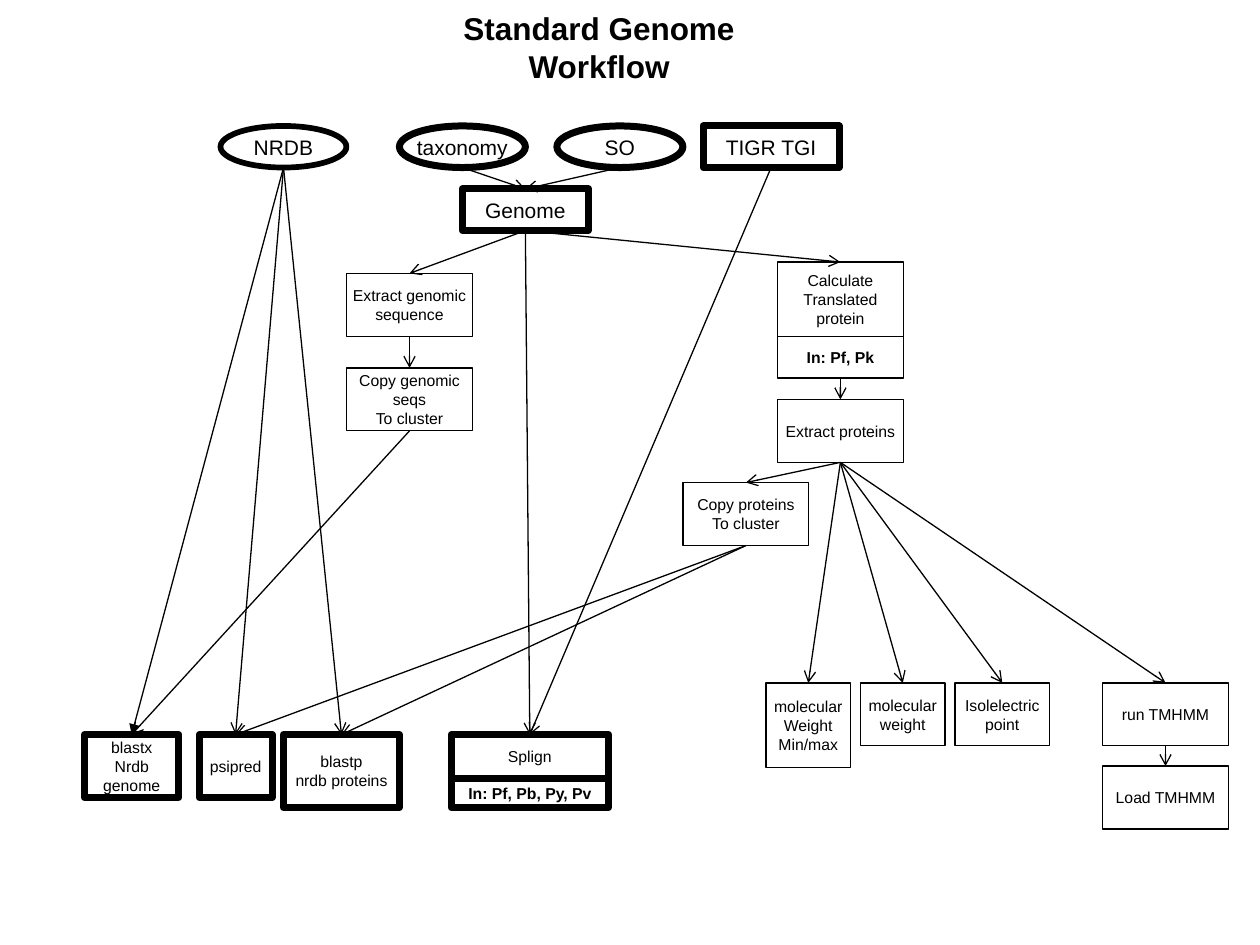
from lxml import etree
from pptx import Presentation
from pptx.dml.color import RGBColor
from pptx.enum.shapes import MSO_CONNECTOR, MSO_SHAPE
from pptx.enum.text import MSO_ANCHOR, MSO_AUTO_SIZE, PP_ALIGN
from pptx.oxml.ns import qn
from pptx.util import Inches, Pt

RECT, OVAL = MSO_SHAPE.RECTANGLE, MSO_SHAPE.OVAL
LINE = MSO_CONNECTOR.STRAIGHT
MIDDLE, CENTER = MSO_ANCHOR.MIDDLE, PP_ALIGN.CENTER
NO_FIT = MSO_AUTO_SIZE.NONE

THEME = {
    "font": "Arial", "ink": RGBColor(0, 0, 0),
    "title": 18, "large": 12, "small": 9,
    "thin": 0.75, "medium": 3.25, "thick": 4,
}

# Content
TITLE = "Standard Genome Workflow"

# Node groups: shape, type size, line width, bold, then
# key: (text, left, top, width, height)
GROUPS = [
    (OVAL, "large", "medium", False, {
        "nrdb": ("NRDB", 1.75, 1, 1, 0.33),
    }),
    (OVAL, "large", "thick", False, {
        "taxon": ("taxonomy", 3.17, 1, 1, 0.33),
        "so": ("SO", 4.42, 1, 1, 0.33),
    }),
    (RECT, "large", "thick", False, {
        "tigr": ("TIGR TGI", 5.58, 1, 1.08, 0.33),
        "genome": ("Genome", 3.67, 1.5, 1, 0.33),
    }),
    (RECT, "small", "thin", False, {
        "extract": ("Extract genomic\nsequence", 2.75, 2.17, 1, 0.5),
        "copy": ("Copy genomic\nseqs\nTo cluster", 2.75, 2.92, 1, 0.5),
        "calc": ("Calculate\nTranslated\nprotein", 6.17, 2.08, 1, 0.59),
        "proteins": ("Extract proteins", 6.17, 3.17, 1, 0.5),
        "cluster": ("Copy proteins\nTo cluster", 5.42, 3.83, 1, 0.5),
        "range": ("molecular\nWeight\nMin/max", 6.08, 5.42, 0.67, 0.67),
        "weight": ("molecular\nweight", 6.83, 5.42, 0.67, 0.5),
        "point": ("Isolelectric\npoint", 7.58, 5.42, 0.75, 0.5),
        "run": ("run TMHMM", 8.75, 5.42, 1, 0.5),
        "load": ("Load TMHMM", 8.75, 6.08, 1, 0.5),
    }),
    (RECT, "small", "thin", True, {
        "calc in": ("In: Pf, Pk", 6.17, 2.67, 1, 0.33),
    }),
    (RECT, "small", "thick", False, {
        "blastx": ("blastx\nNrdb\ngenome", 0.67, 5.83, 0.75, 0.5),
        "psipred": ("psipred", 1.58, 5.83, 0.58, 0.5),
        "blastp": ("blastp\nnrdb proteins", 2.25, 5.83, 0.92, 0.58),
        "splign": ("Splign", 3.58, 5.83, 1.25, 0.35),
    }),
    (RECT, "small", "thick", True, {
        "splign in": ("In: Pf, Pb, Py, Pv", 3.58, 6.18, 1.25, 0.23),
    }),
]

# Each step leads to the steps listed after it
FLOWS = {
    "nrdb": ["blastx", "psipred", "blastp"],
    "taxon": ["genome"],
    "so": ["genome"],
    "tigr": ["splign"],
    "genome": ["extract", "splign", "calc"],
    "extract": ["copy"],
    "copy": ["blastx"],
    "calc in": ["proteins"],
    "proteins": ["cluster", "range", "weight", "point", "run"],
    "cluster": ["psipred", "blastp"],
    "run": ["load"],
}
SOLID = [("nrdb", "blastx")]


def style(frame, size, bold):
    """Centre the text and set its font."""
    frame.vertical_anchor = MIDDLE
    for par in frame.paragraphs:
        par.alignment = CENTER
        for run in par.runs:
            font = run.font
            font.name, font.size, font.bold = THEME["font"], Pt(THEME[size]), bold
            font.color.rgb = THEME["ink"]


def add_node(slide, kind, size, width, bold, node):
    text, *place = node
    shape = slide.shapes.add_shape(kind, *map(Inches, place))
    shape.shadow.inherit = False
    shape.fill.background()
    shape.line.color.rgb = THEME["ink"]
    shape.line.width = Pt(THEME[width])
    shape.text_frame.text = text
    shape.text_frame.word_wrap = False
    style(shape.text_frame, size, bold)
    return shape


def add_arrow(slide, start, end, head):
    """Run from the bottom middle of start to the top middle of end."""
    arrow = slide.shapes.add_connector(
        LINE, start.left + start.width // 2, start.top + start.height,
        end.left + end.width // 2, end.top)
    if start.auto_shape_type == RECT:
        arrow.begin_connect(start, 2)
    arrow.end_connect(end, 0)
    arrow.line.color.rgb = THEME["ink"]
    arrow.line.width = Pt(THEME["thin"])
    props = arrow.element.spPr
    etree.SubElement(props.find(qn("a:ln")), qn("a:tailEnd"), type=head)
    etree.SubElement(props, qn("a:effectLst"))


def main():
    deck = Presentation()
    deck.slide_width, deck.slide_height = Inches(10), Inches(7.5)
    slide = deck.slides.add_slide(deck.slide_layouts[5])

    # Title
    title = slide.shapes.title
    title.left, title.top = Inches(3.42), Inches(0.25)
    title.width, title.height = Inches(2.67), Inches(0.25)
    title.text_frame.text = TITLE
    title.text_frame.word_wrap = True
    title.text_frame.auto_size = NO_FIT
    style(title.text_frame, "title", True)

    # Steps
    nodes = {}
    for *look, group in GROUPS:
        for key, node in group.items():
            nodes[key] = add_node(slide, *look, node)

    # Arrows
    for start, ends in FLOWS.items():
        for end in ends:
            head = "triangle" if (start, end) in SOLID else "arrow"
            add_arrow(slide, nodes[start], nodes[end], head)

    deck.save("out.pptx")


if __name__ == "__main__":
    main()
